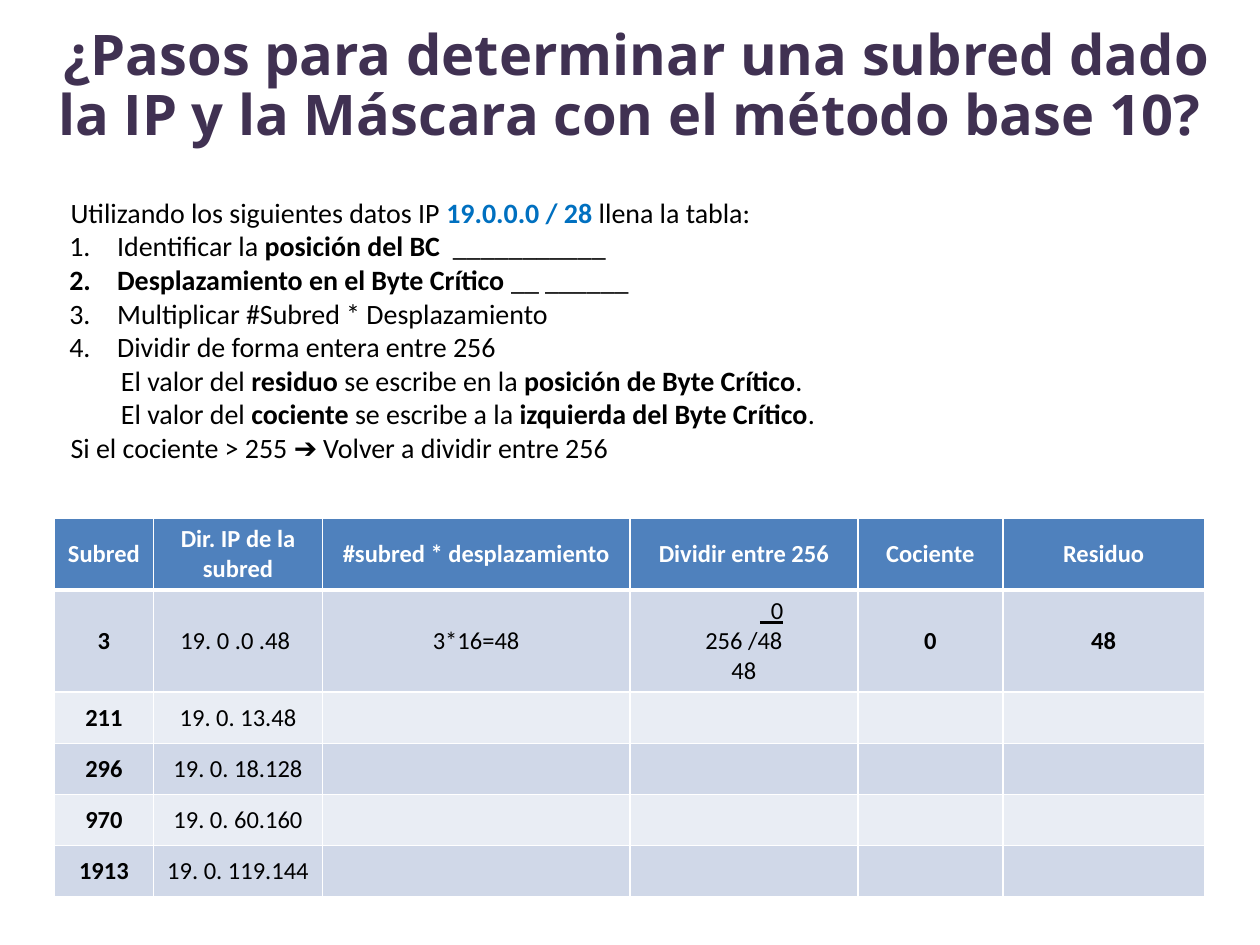
from dataclasses import dataclass

from lxml import etree
from pptx import Presentation, util as u
from pptx.dml.color import RGBColor
from pptx.enum import text
from pptx.oxml import ns

COLORS = {"title": "403152", "ink": "000000", "accent": "0070C0", "white": "FFFFFF",
          "header": "4F81BD", "band": "D0D8E8", "pale": "E9EDF4"}
ALIGN = text.PP_ALIGN


@dataclass
class Run:
    """A stretch of text with one look."""
    words: str
    bold: bool = False
    color: str = "ink"
    underline: bool = False


@dataclass
class Line:
    """A paragraph of the body, with its left indent in inches."""
    runs: list[Run]
    left: float = 0.09
    numbered: bool = False


def add_run(p, run: Run, size: float, font: str = "Calibri") -> None:
    """Append one formatted run to a paragraph."""
    r = p.add_run()
    r.text = run.words
    r.font.size, r.font.name = u.Pt(size), font
    r.font.bold, r.font.underline = run.bold, run.underline
    r.font.color.rgb = RGBColor.from_string(COLORS[run.color])


def place(sp, left: float, top: float, width: float, height: float) -> None:
    """Move and size a shape, in inches."""
    sp.left, sp.top = u.Inches(left), u.Inches(top)
    sp.width, sp.height = u.Inches(width), u.Inches(height)


def set_indent(p, left: float, first: float = 0) -> None:
    """Set the left margin and first-line indent of a paragraph."""
    pPr = p._p.get_or_add_pPr()
    pPr.set("marL", str(u.Inches(left)))
    pPr.set("indent", str(u.Inches(first)))


def get_paragraph(tf, index: int):
    """Return the first paragraph of a frame, or add a further one."""
    return tf.paragraphs[0] if index == 0 else tf.add_paragraph()


def fill_title(sp) -> None:
    """Write the slide title."""
    place(sp, 0.1, 0.15, 9.8, 1.09)
    tf = sp.text_frame
    tf.word_wrap, tf.auto_size = True, text.MSO_AUTO_SIZE.NONE
    tf.vertical_anchor = text.MSO_ANCHOR.MIDDLE
    p = tf.paragraphs[0]
    p.alignment, p.line_spacing = ALIGN.CENTER, 0.9
    add_run(p, Run(" ¿Pasos para determinar una subred dado la IP y la Máscara "
                   "con el método base 10?", True, "title"), 32, "Open Sans")


def fill_body(sp, lines: list[Line]) -> None:
    """Write the steps into the body placeholder."""
    place(sp, 0.47, 1.55, 8.41, 2.15)
    tf = sp.text_frame
    tf.word_wrap, tf.auto_size = True, text.MSO_AUTO_SIZE.NONE
    tf.margin_left = tf.margin_right = tf.margin_top = tf.margin_bottom = 0
    for i, line in enumerate(lines):
        p = get_paragraph(tf, i)
        p.alignment = ALIGN.JUSTIFY
        p.space_before = p.space_after = u.Pt(0)
        set_indent(p, line.left, -0.38 if line.numbered else 0)
        pPr = p._p.get_or_add_pPr()
        if line.numbered:
            etree.SubElement(pPr, ns.qn("a:buFont"), typeface="+mj-lt")
            etree.SubElement(pPr, ns.qn("a:buAutoNum"), type="arabicPeriod")
        else:
            etree.SubElement(pPr, ns.qn("a:buNone"))
        for run in line.runs:
            add_run(p, run, 16)


def style_cell(cell, fill: str, bottom: float) -> None:
    """Give a cell its fill, white borders and middle anchor."""
    cell.vertical_anchor = text.MSO_ANCHOR.MIDDLE
    tcPr = cell._tc.get_or_add_tcPr()
    for side, width in (("L", 1), ("R", 1), ("T", 1), ("B", bottom)):
        ln = etree.SubElement(tcPr, ns.qn(f"a:ln{side}"), w=str(u.Pt(width)))
        solid = etree.SubElement(ln, ns.qn("a:solidFill"))
        etree.SubElement(solid, ns.qn("a:srgbClr"), val=COLORS["white"])
    cell.fill.solid()
    cell.fill.fore_color.rgb = RGBColor.from_string(COLORS[fill])


def add_subnet_table(s, rows: list[list[list[Run]]]) -> None:
    """Draw the table; each cell is a list with one run per paragraph."""
    widths = [0.79, 1.34, 2.44, 1.81, 1.15, 1.6]
    heights = [0.56, 0.8] + [0.405] * (len(rows) - 2)
    table = s.shapes.add_table(len(rows), len(widths), u.Inches(0.43), u.Inches(4.11),
                               u.Inches(sum(widths)), u.Inches(sum(heights))).table
    for column, width in zip(table.columns, widths):
        column.width = u.Inches(width)
    for i, (row, height) in enumerate(zip(rows, heights)):
        table.rows[i].height = u.Inches(height)
        fill = "header" if i == 0 else "band" if i % 2 else "pale"
        for j in range(len(widths)):
            cell = table.cell(i, j)
            style_cell(cell, fill, 3 if i == 0 else 1)
            for k, run in enumerate(row[j] if j < len(row) else []):
                p = get_paragraph(cell.text_frame, k)
                p.alignment = ALIGN.CENTER
                if run.underline:
                    set_indent(p, 0.44)
                add_run(p, run, 14)


STEPS = [
    Line([Run("Utilizando los siguientes datos IP "),
          Run("19.0.0.0 / 28 ", True, "accent"), Run("llena la tabla:")]),
    Line([Run("Identificar la "), Run("posición del BC  ", True), Run("___________")],
         0.46, True),
    Line([Run("Desplazamiento en el Byte Crítico ", True), Run("__ ______")], 0.46, True),
    Line([Run("Multiplicar #Subred * Desplazamiento")], 0.46, True),
    Line([Run("Dividir de forma entera entre 256")], 0.46, True),
    *(Line([Run("El valor del "), Run(part, True), Run(f" se escribe {link} "),
            Run(target, True), Run(".")], 0.49)
      for part, link, target in (("residuo", "en la", "posición de Byte Crítico"),
                                 ("cociente", "a la", "izquierda del Byte Crítico"))),
    Line([Run("Si el cociente > 255 ➔ Volver a dividir entre 256")]),
]
HEADINGS = ["Subred", "Dir. IP de la subred", "#subred * desplazamiento",
            "Dividir entre 256", "Cociente", "Residuo"]
SUBNETS = [("211", "19. 0. 13.48"), ("296", "19. 0. 18.128"),
           ("970", "19. 0. 60.160"), ("1913", "19. 0. 119.144")]
ROWS = [
    [[Run(heading, True, "white")] for heading in HEADINGS],
    [[Run("3", True)], [Run("19. 0 .0 .48 ")], [Run("3*16=48")],
     [Run("  0", underline=True), Run("256 /48"), Run("48")],
     [Run("0", True)], [Run("48", True)]],
    *([[Run(number, True)], [Run(address)]] for number, address in SUBNETS),
]

prs = Presentation()
prs.slide_width, prs.slide_height = u.Inches(10), u.Inches(7.5)
s = prs.slides.add_slide(prs.slide_layouts[1])
fill_title(s.shapes.title)
fill_body(s.placeholders[1], STEPS)
add_subnet_table(s, ROWS)
prs.save("out.pptx")
